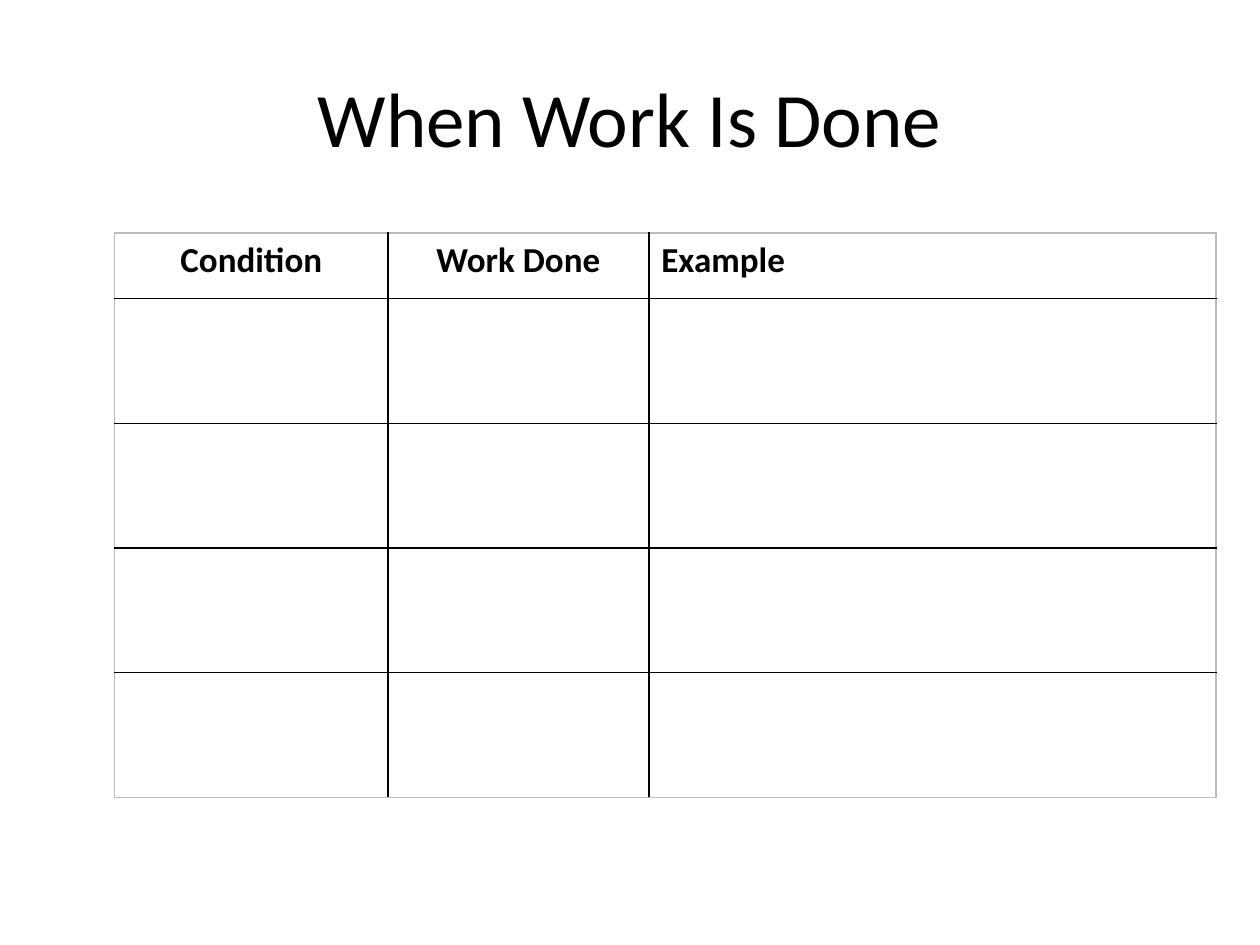
from lxml.etree import SubElement
from pptx import Presentation
from pptx.dml.color import RGBColor
from pptx.enum.text import MSO_ANCHOR, PP_ALIGN
from pptx.oxml.ns import qn
from pptx.util import Inches, Pt

COLORS = {"text": "000000", "rule": "000000", "frame": "BBBBBB", "paper": "FFFFFF"}
FONT = "Calibri"
HEADINGS = [
    ("Condition", PP_ALIGN.CENTER),
    ("Work Done", PP_ALIGN.CENTER),
    ("Example", PP_ALIGN.LEFT),
]
COLUMN_WIDTHS = [2.17, 2.07, 4.5]
ROW_HEIGHTS = [0.52] + [0.99] * 4


def write_text(text_frame, text, size, align, bold=False):
    text_frame.text = text
    para = text_frame.paragraphs[0]
    para.alignment = align
    font = para.runs[0].font
    font.name, font.size, font.bold = FONT, Pt(size), bold
    font.color.rgb = RGBColor.from_string(COLORS["text"])


def add_title(page, text):
    box = page.shapes.add_textbox(Inches(0.5), Inches(0.3), Inches(9), Inches(1.25))
    box.text_frame.word_wrap = True
    box.text_frame.vertical_anchor = MSO_ANCHOR.MIDDLE
    write_text(box.text_frame, text, 44, PP_ALIGN.CENTER)


def set_border(cell, side, color):
    line = SubElement(cell._tc.get_or_add_tcPr(), qn(f"a:ln{side}"), w=str(Pt(1)))
    fill = SubElement(line, qn("a:solidFill"))
    SubElement(fill, qn("a:srgbClr"), val=color)


def style_cell(cell, row, column):
    """Rule the cell in black inside the table and in grey along its frame."""
    on_frame = {
        "L": column == 0,
        "R": column == len(COLUMN_WIDTHS) - 1,
        "T": row == 0,
        "B": row == len(ROW_HEIGHTS) - 1,
    }
    for side, outer in on_frame.items():
        set_border(cell, side, COLORS["frame" if outer else "rule"])
    cell.fill.solid()
    cell.fill.fore_color.rgb = RGBColor.from_string(COLORS["paper"])


def add_work_table(page):
    table = page.shapes.add_table(
        len(ROW_HEIGHTS), len(COLUMN_WIDTHS), Inches(0.91), Inches(1.85),
        Inches(sum(COLUMN_WIDTHS)), Inches(sum(ROW_HEIGHTS)),
    ).table
    table.first_row = table.horz_banding = False
    for column, width in zip(table.columns, COLUMN_WIDTHS):
        column.width = Inches(width)
    for row, height in zip(table.rows, ROW_HEIGHTS):
        row.height = Inches(height)
    for row in range(len(ROW_HEIGHTS)):
        for column in range(len(COLUMN_WIDTHS)):
            style_cell(table.cell(row, column), row, column)
    for column, (heading, align) in enumerate(HEADINGS):
        write_text(table.cell(0, column).text_frame, heading, 20, align, bold=True)


def main():
    deck = Presentation()
    deck.slide_width, deck.slide_height = Inches(10), Inches(7.5)
    page = deck.slides.add_slide(deck.slide_layouts[6])
    add_title(page, "When Work Is Done")
    add_work_table(page)
    deck.save("out.pptx")


if __name__ == "__main__":
    main()
